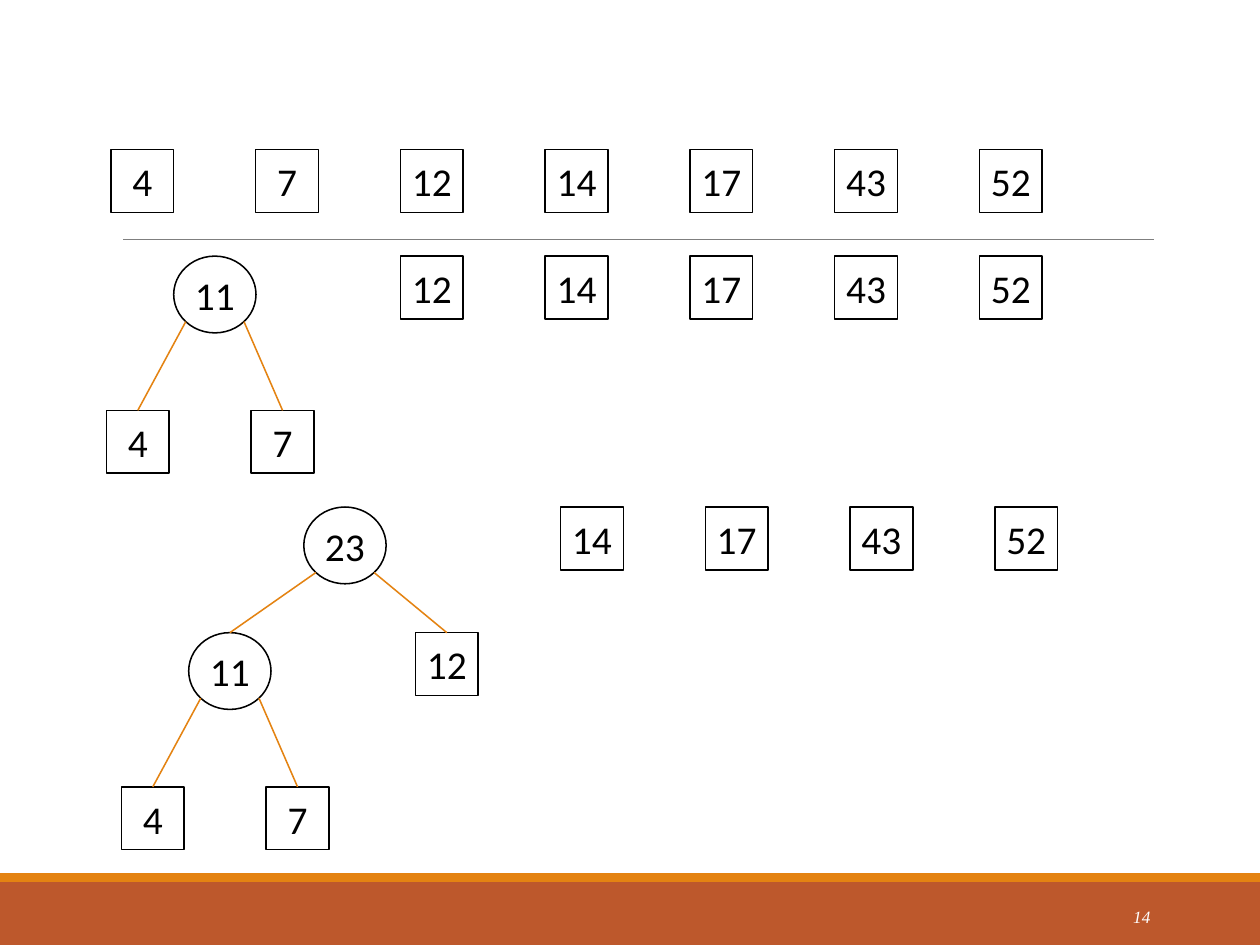
from lxml.etree import SubElement
from pptx import Presentation
from pptx.dml.color import RGBColor
from pptx.enum.shapes import MSO_CONNECTOR, MSO_SHAPE
from pptx.enum.text import MSO_ANCHOR, PP_ALIGN
from pptx.oxml.ns import qn
from pptx.util import Cm, Pt

BLACK = RGBColor(0x00, 0x00, 0x00)
WHITE = RGBColor(0xFF, 0xFF, 0xFF)
GRAY = RGBColor(0x7F, 0x7F, 0x7F)
ORANGE = RGBColor(0xE4, 0x83, 0x12)
RUST = RGBColor(0xBD, 0x58, 0x2C)

LEAF = (1.8, 1.8)      # width and height of a square, cm
SUM = (2.36, 2.2)      # width and height of a circle, cm
PITCH = 4.15           # distance between neighbouring squares, cm
DIAGONAL = 0.5 ** 0.5  # where an edge leaves a circle, as a share of its radius

prs = Presentation()
prs.slide_width, prs.slide_height = Cm(36.12), Cm(27.08)
slide = prs.slides.add_slide(prs.slide_layouts[6])


def add_node(label, left, top, preset, size):
    node = slide.shapes.add_shape(preset, Cm(left), Cm(top), Cm(size[0]), Cm(size[1]))
    node.shadow.inherit = False
    node.fill.background()
    node.line.color.rgb = BLACK
    node.line.width = Pt(1.25)
    frame = node.text_frame
    frame.word_wrap = False
    frame.vertical_anchor = MSO_ANCHOR.MIDDLE
    paragraph = frame.paragraphs[0]
    paragraph.text = label
    paragraph.alignment = PP_ALIGN.CENTER
    for attribute, value in {"name": "Calibri", "size": Pt(32)}.items():
        setattr(paragraph.font, attribute, value)
    paragraph.font.color.rgb = BLACK
    return node


def add_line(start, end, color, width):
    line = slide.shapes.add_connector(MSO_CONNECTOR.STRAIGHT, *start, *end)
    line.line.color.rgb = color
    line.line.width = Pt(width)
    SubElement(line._element.spPr, qn("a:effectLst"))
    return line


# Footer bands and divider
for top, height, color in [(25.27, 1.81, RUST), (25.02, 0.25, ORANGE)]:
    band = slide.shapes.add_shape(MSO_SHAPE.RECTANGLE, 0, Cm(top), prs.slide_width, Cm(height))
    band.shadow.inherit = False
    band.fill.solid()
    band.fill.fore_color.rgb = color
    band.line.fill.background()
add_line((Cm(3.53), Cm(6.86)), (Cm(33.07), Cm(6.86)), GRAY, 0.5)

# Slide number
number_box = slide.shapes.add_textbox(Cm(29.34), Cm(25.53), Cm(3.89), Cm(1.45))
number_box.text_frame.word_wrap = True
number_box.text_frame.vertical_anchor = MSO_ANCHOR.MIDDLE
number = number_box.text_frame.paragraphs[0]
number.text = "14"
number.alignment = PP_ALIGN.RIGHT
for attribute, value in {"name": "Times New Roman", "size": Pt(14), "italic": True}.items():
    setattr(number.font, attribute, value)
number.font.color.rgb = WHITE

# Rows of weights still waiting to be merged
weights = ["4", "7", "12", "14", "17", "43", "52"]
for first, row_left, row_top in [(0, 3.18, 4.29), (2, 11.48, 7.34), (3, 16.07, 14.53)]:
    for column, weight in enumerate(weights[first:]):
        add_node(weight, row_left + column * PITCH, row_top, MSO_SHAPE.RECTANGLE, LEAF)

# Subtree 11 = 4 + 7, once for each merging step
edges = []
for left, top in [(3.05, 7.34), (3.48, 18.13)]:
    leaves = [add_node(weight, left + column * PITCH, top + 4.42, MSO_SHAPE.RECTANGLE, LEAF)
              for column, weight in enumerate(weights[:2])]
    eleven = add_node("11", left + 1.93, top, MSO_SHAPE.OVAL, SUM)
    edges.append((eleven, leaves))

# Root 23 = 11 + 12 of the second step
twelve = add_node("12", 11.91, 18.13, MSO_SHAPE.RECTANGLE, LEAF)
twenty_three = add_node("23", 8.71, 14.53, MSO_SHAPE.OVAL, SUM)
edges.append((twenty_three, [eleven, twelve]))

# Edges from each circle's lower left and lower right to its children
for parent, children in edges:
    for side, child in zip((-1, 1), children):
        start = (int(parent.left + parent.width / 2 * (1 + side * DIAGONAL)),
                 int(parent.top + parent.height / 2 * (1 + DIAGONAL)))
        edge = add_line(start, (child.left + child.width // 2, child.top), ORANGE, 1.25)
        edge.end_connect(child, 0)

prs.save("out.pptx")
